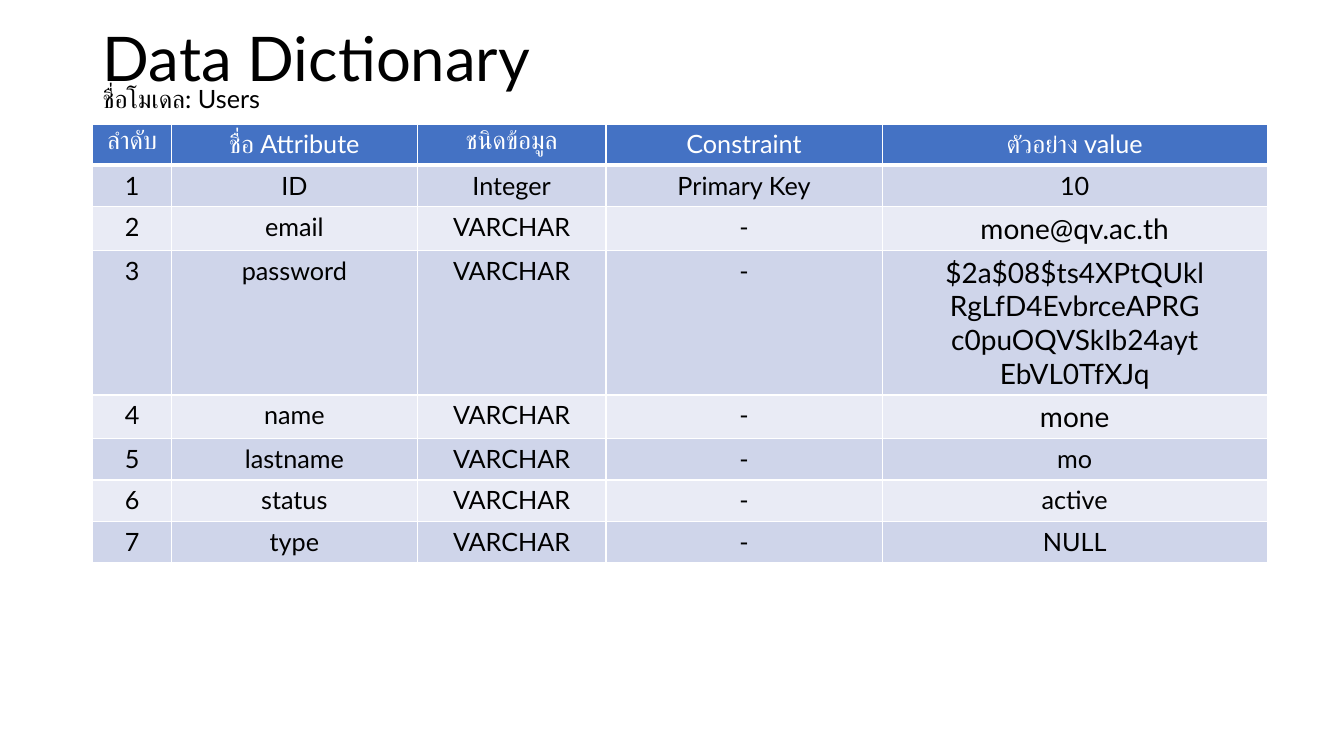
from pptx import Presentation
from pptx.dml.color import RGBColor
from pptx.enum.text import MSO_ANCHOR as Anchor, MSO_AUTO_SIZE as AutoSize, PP_ALIGN as Align
from pptx.oxml import parse_xml
from pptx.oxml.ns import nsdecls
from pptx.util import Inches, Pt

COLORS = {"text": "000000", "white": "FFFFFF", "header": "4472C4",
          "odd": "CFD5EA", "even": "E9EBF5"}
WIDTHS = [0.78, 2.44, 1.87, 2.74, 3.82]
ROW_HEIGHT, TALL_ROW_HEIGHT = 0.41, 1.43
HEADINGS = ["ลำดับ", "ชื่อ Attribute", "ชนิดข้อมูล", "Constraint", "ตัวอย่าง value"]
HASH = "$2a$08$ts4XPtQUkl\nRgLfD4EvbrceAPRG\nc0puOQVSkIb24ayt\nEbVL0TfXJq"
ATTRIBUTES = [
    ("ID", "Integer", "Primary Key", "10"),
    ("email", "VARCHAR", "-", "mone@qv.ac.th"),
    ("password", "VARCHAR", "-", HASH),
    ("name", "VARCHAR", "-", "mone"),
    ("lastname", "VARCHAR", "-", "mo"),
    ("status", "VARCHAR", "-", "active"),
    ("type", "VARCHAR", "-", "NULL"),
]
LARGE_VALUES = {"email", "password", "name"}


def write_text(frame, text, size=18, color="text", align=Align.LEFT, spacing=None, font="Lato"):
    """Fill a text frame with one formatted paragraph per line of text."""
    for index, line in enumerate(text.split("\n")):
        para = frame.add_paragraph() if index else frame.paragraphs[0]
        para.alignment = align
        para.line_spacing = spacing
        span = para.add_run()
        span.text = line
        span.font.name = font
        span.font.size = Pt(size)
        span.font.bold = False
        span.font.color.rgb = RGBColor.from_string(COLORS[color])


class DictionaryPage:
    """A title-only page with its title, caption and attribute table."""

    def __init__(self, deck):
        """Add the page to the deck."""
        self.page = deck.slides.add_slide(deck.slide_layouts[5])

    def title(self, text, left, top, width, height):
        """Place and format the title placeholder."""
        box = self.page.shapes.title
        box.left, box.top, box.width, box.height = map(Inches, (left, top, width, height))
        box.text_frame.vertical_anchor = Anchor.MIDDLE
        write_text(box.text_frame, text, size=44, spacing=0.9)

    def caption(self, text, left, top, width, height):
        """Add a text box that grows with its text."""
        box = self.page.shapes.add_textbox(*map(Inches, (left, top, width, height)))
        box.text_frame.word_wrap = True
        box.text_frame.auto_size = AutoSize.SHAPE_TO_FIT_TEXT
        write_text(box.text_frame, text)

    def cell(self, cell, text, fill, size=18, color="text", top=1, bottom=1):
        """Format one table cell with its borders, fill and text."""
        properties = cell._tc.get_or_add_tcPr()
        for side, points in (("L", 1), ("R", 1), ("T", top), ("B", bottom)):
            properties.append(parse_xml(
                f'<a:ln{side} {nsdecls("a")} w="{Pt(points)}"><a:solidFill>'
                f'<a:srgbClr val="{COLORS["white"]}"/></a:solidFill></a:ln{side}>'))
        cell.fill.solid()
        cell.fill.fore_color.rgb = RGBColor.from_string(COLORS[fill])
        write_text(cell.text_frame, text, size, color, Align.CENTER)

    def table(self, left, top):
        """Add the attribute table with banded rows."""
        heights = [ROW_HEIGHT] + [TALL_ROW_HEIGHT if "\n" in values[-1] else ROW_HEIGHT
                                  for values in ATTRIBUTES]
        table = self.page.shapes.add_table(
            len(heights), len(WIDTHS), Inches(left), Inches(top),
            Inches(sum(WIDTHS)), Inches(sum(heights))).table
        for column, width in zip(table.columns, WIDTHS):
            column.width = Inches(width)
        for row, height in zip(table.rows, heights):
            row.height = Inches(height)
        for column, heading in enumerate(HEADINGS):
            self.cell(table.cell(0, column), heading, "header", color="white", bottom=3)
        for number, values in enumerate(ATTRIBUTES, 1):
            for column, text in enumerate((str(number), *values)):
                large = column == len(WIDTHS) - 1 and values[0] in LARGE_VALUES
                self.cell(table.cell(number, column), text, "odd" if number % 2 else "even",
                          size=20 if large else 18, top=3 if number == 1 else 1)


def main():
    """Build and save the deck."""
    deck = Presentation()
    deck.slide_width, deck.slide_height = Inches(13.33), Inches(7.5)
    page = DictionaryPage(deck)
    page.title("Data Dictionary", 0.92, -0.11, 11.5, 1.45)
    page.caption("ชื่อโมเดล: Users", 0.92, 0.78, 4.09, 0.4)
    page.table(0.92, 1.23)
    deck.save("out.pptx")


if __name__ == "__main__":
    main()
